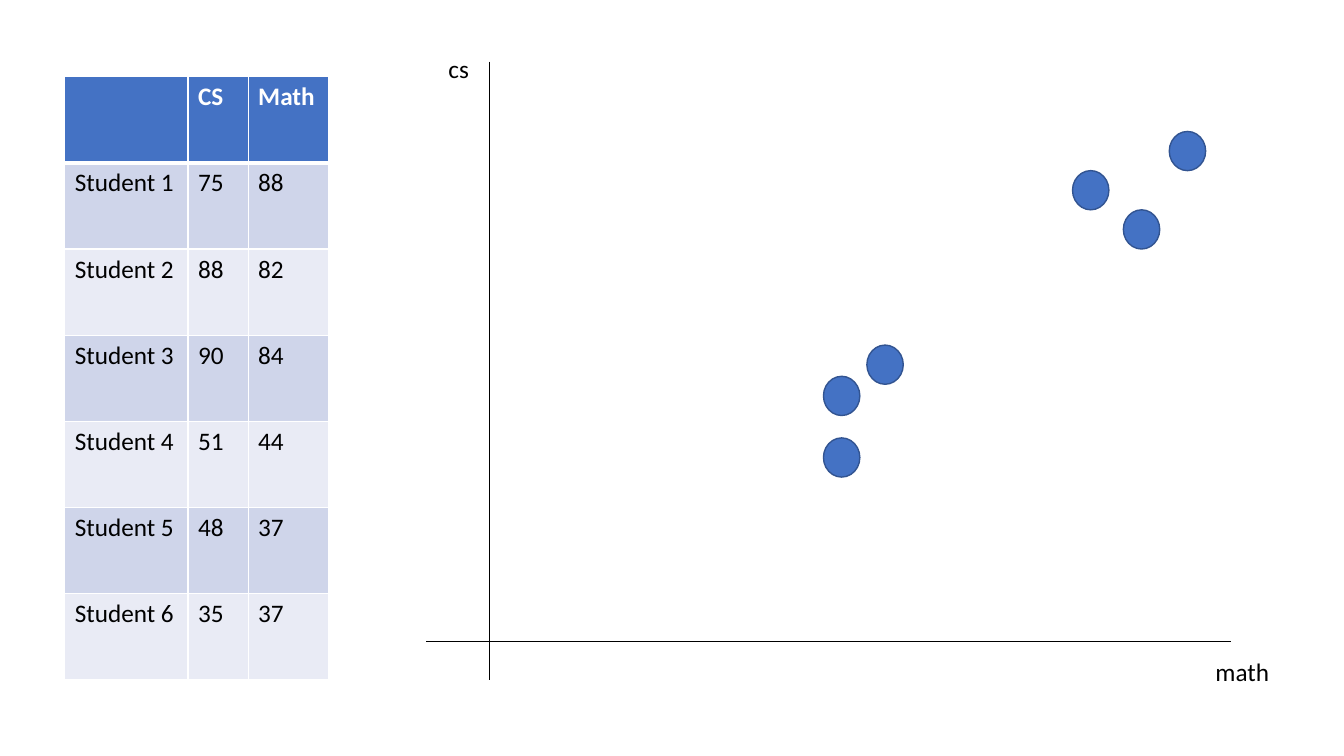
from lxml import etree
from pptx import Presentation
from pptx.dml.color import RGBColor
from pptx.enum.shapes import MSO_CONNECTOR, MSO_SHAPE
from pptx.enum.text import MSO_AUTO_SIZE
from pptx.oxml.ns import qn
from pptx.util import Pt

STRAIGHT = MSO_CONNECTOR.STRAIGHT
OVAL = MSO_SHAPE.OVAL
FIT_TEXT = MSO_AUTO_SIZE.SHAPE_TO_FIT_TEXT

COLORS = {
    "header": "4472C4",
    "band_dark": "CFD5EA",
    "band_light": "E9EBF5",
    "dot_line": "325491",
    "white": "FFFFFF",
    "black": "000000",
}


def color(name):
    return RGBColor.from_string(COLORS[name])


def add_text(paragraph, text, color_name, bold=False):
    run = paragraph.add_run()
    run.text = text
    run.font.name = "Calibri"
    run.font.size = Pt(18)
    run.font.bold = bold
    run.font.color.rgb = color(color_name)


prs = Presentation()
prs.slide_width, prs.slide_height = Pt(960), Pt(540)
slide = prs.slides.add_slide(prs.slide_layouts[6])
shapes = slide.shapes

scores = [(75, 88), (88, 82), (90, 84), (51, 44), (48, 37), (35, 37)]
rows = [("", "CS", "Math")]
rows += [(f"Student {i}", str(cs), str(math)) for i, (cs, math) in enumerate(scores, 1)]
column_widths = [88, 43, 57.6]
row_height = 61.5

grades = shapes.add_table(
    len(rows), len(column_widths), Pt(46.3), Pt(54.9),
    Pt(sum(column_widths)), Pt(row_height * len(rows)),
).table
for column, width in zip(grades.columns, column_widths):
    column.width = Pt(width)

for r, row in enumerate(rows):
    grades.rows[r].height = Pt(row_height)
    is_header = r == 0
    fill_name = "header" if is_header else "band_dark" if r % 2 else "band_light"
    for c, text in enumerate(row):
        cell = grades.cell(r, c)
        cell_props = cell._tc.get_or_add_tcPr()
        for side in "LRTB":
            thick = (is_header and side == "B") or (r == 1 and side == "T")
            border = etree.SubElement(cell_props, qn(f"a:ln{side}"), w=str(Pt(3 if thick else 1)))
            border_fill = etree.SubElement(border, qn("a:solidFill"))
            etree.SubElement(border_fill, qn("a:srgbClr"), val=COLORS["white"])
        cell.fill.solid()
        cell.fill.fore_color.rgb = color(fill_name)
        if text:
            add_text(cell.text_frame.paragraphs[0], text,
                     "white" if is_header else "black", is_header)

axes = [(349.5, 44, 349.5, 485.5), (304.5, 458, 879, 458)]
for ends in axes:
    axis = shapes.add_connector(STRAIGHT, *[Pt(v) for v in ends])
    axis.line.color.rgb = color("black")
    axis.line.width = Pt(0.5)
    etree.SubElement(axis._element.spPr, qn("a:effectLst"))

student_dots = [(835.2, 93.9), (766.1, 121.9), (802.4, 149.9),
                (619.2, 246.5), (588.2, 268.8), (588.2, 312.8)]
for left, top in student_dots:
    dot = shapes.add_shape(OVAL, Pt(left), Pt(top), Pt(26), Pt(28))
    dot.shadow.inherit = False
    dot.fill.solid()
    dot.fill.fore_color.rgb = color("header")
    dot.line.color.rgb = color("dot_line")
    dot.line.width = Pt(1)

axis_labels = [("cs", 313.2, 34.6, 29.5), ("math", 861.1, 465.1, 53.3)]
for text, left, top, width in axis_labels:
    label = shapes.add_textbox(Pt(left), Pt(top), Pt(width), Pt(29)).text_frame
    label.word_wrap = False
    label.auto_size = FIT_TEXT
    add_text(label.paragraphs[0], text, "black")

prs.save("out.pptx")
